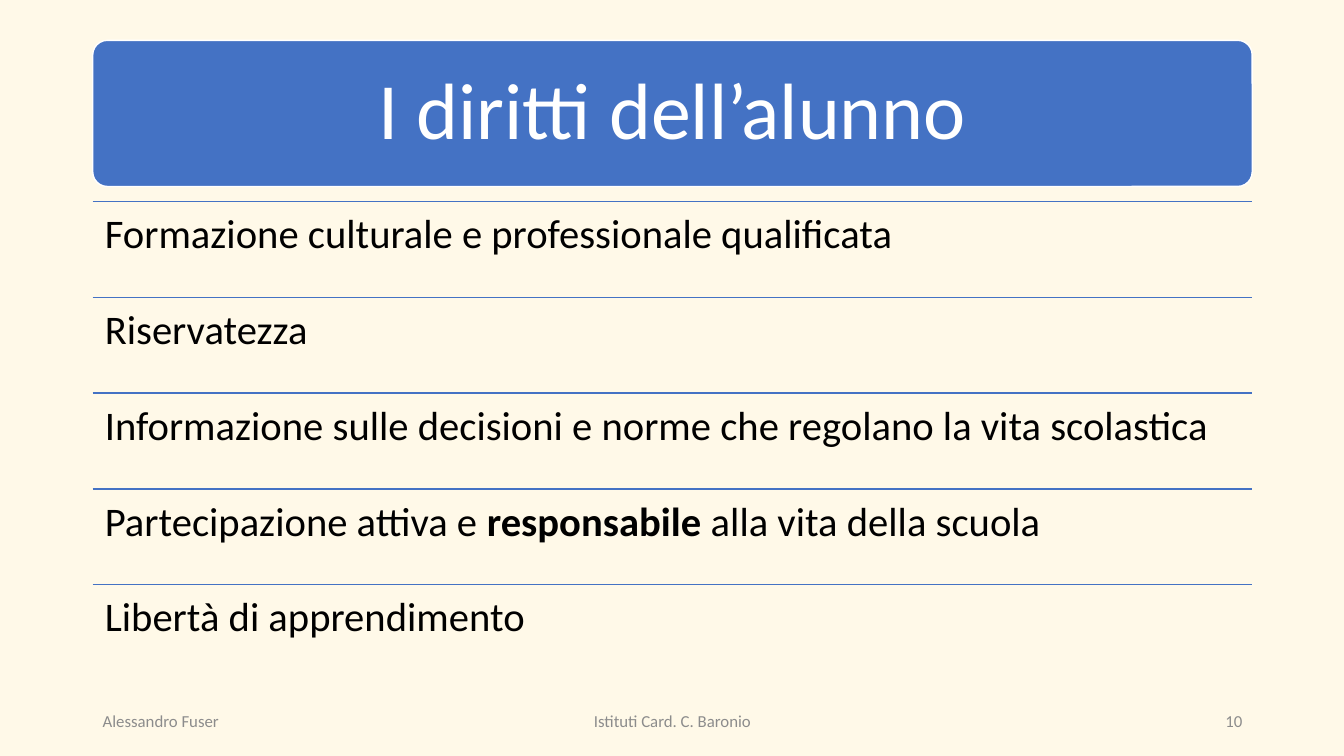
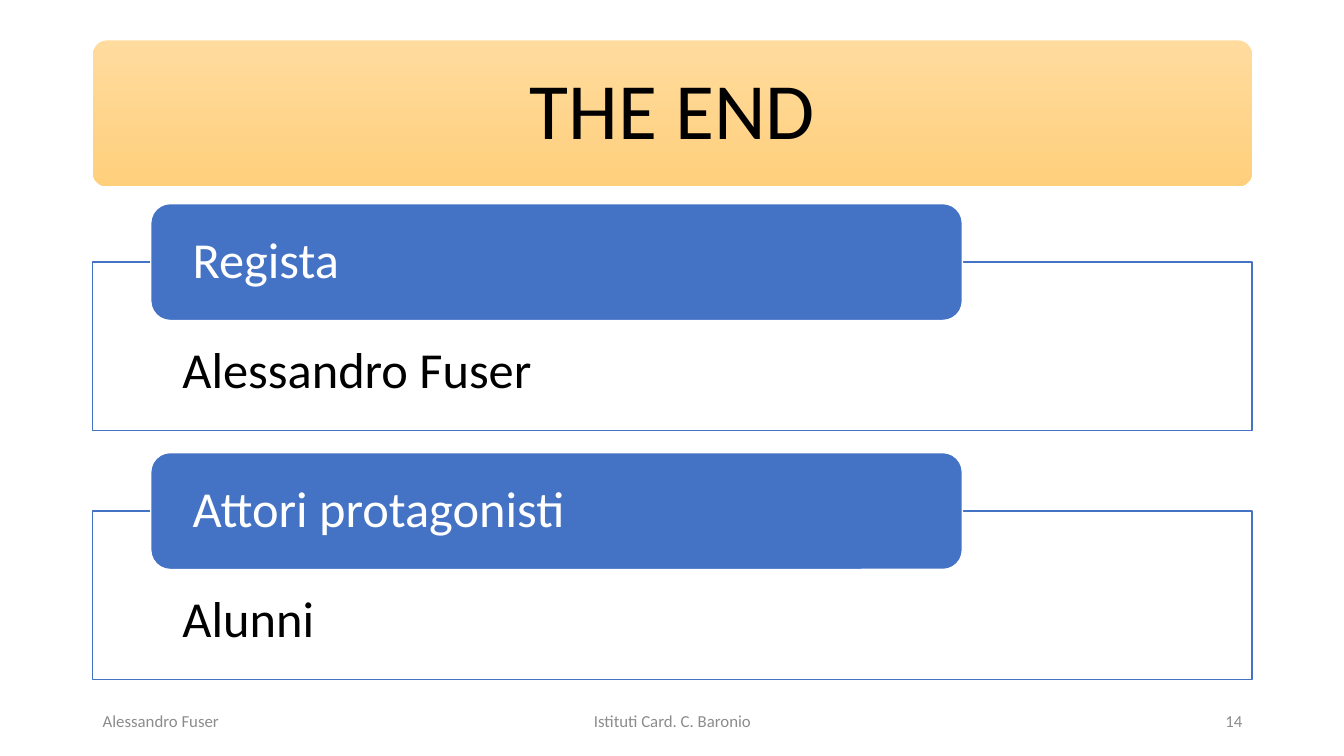
from pptx import Presentation
from pptx import util as u
from pptx.dml.color import RGBColor
from pptx.enum import shapes, text
from lxml import etree

Inches, Pt = u.Inches, u.Pt
ALIGN, ANCHOR = text.PP_ALIGN, text.MSO_ANCHOR
FONT = "Calibri"
COLORS = {
    "blue": "4472C4", "white": "FFFFFF", "black": "000000", "gray": "8C8C8C",
    "cream": "FFF9E8", "sand": "FFDB9E", "amber": "FFD07C",
}
DRAWING_NS = "http://schemas.openxmlformats.org/drawingml/2006/main"

# Shared geometry, in inches
LEFT, WIDTH = 0.92, 11.5
TITLE_BOX = (LEFT, 0.4, WIDTH, 1.45)
FOOTER_TOP, FOOTER_HEIGHT = 6.95, 0.4


def color(name):
    return RGBColor.from_string(COLORS[name])


def inches(*lengths):
    return [Inches(length) for length in lengths]


def write(shape, runs, size, color_name, align=ALIGN.LEFT, anchor=ANCHOR.MIDDLE,
          margins=(0.1, 0.05, 0.1, 0.05), spacing=0.9):
    """Fill a shape with one paragraph; runs are (wording, bold) pairs."""
    frame = shape.text_frame
    frame.word_wrap = True
    frame.auto_size = text.MSO_AUTO_SIZE.NONE
    frame.vertical_anchor = anchor
    (frame.margin_left, frame.margin_top,
     frame.margin_right, frame.margin_bottom) = inches(*margins)
    paragraph = frame.paragraphs[0]
    paragraph.alignment = align
    paragraph.line_spacing = spacing
    for wording, bold in runs:
        run = paragraph.add_run()
        run.text = wording
        run.font.name, run.font.size, run.font.bold = FONT, Pt(size), bold
        run.font.color.rgb = color(color_name)


def add_box(slide, kind, box, fill, line=None):
    shape = slide.shapes.add_shape(kind, *inches(*box))
    shape.shadow.inherit = False
    if isinstance(fill, tuple):
        shape.fill.gradient()
        shape.fill.gradient_angle = 270
        for stop, name in zip(shape.fill.gradient_stops, fill):
            stop.color.rgb = color(name)
    else:
        shape.fill.solid()
        shape.fill.fore_color.rgb = color(fill)
    if line:
        shape.line.color.rgb = color(line)
        shape.line.width = Pt(1)
    else:
        shape.line.fill.background()
    return shape


def add_title(slide, box, wording, fill, font_color, line=None):
    band = add_box(slide, shapes.MSO_SHAPE.ROUNDED_RECTANGLE, box, fill, line)
    band.adjustments[0] = 0.1
    title = slide.shapes.title
    title.left, title.top, title.width, title.height = inches(*box)
    band.element.addnext(title.element)  # keeps the wording above the band
    write(title, [(wording, False)], 57, font_color, ALIGN.CENTER, margins=(0.28,) * 4)


def add_footer(slide, number):
    parts = [
        (LEFT, 3, "Alessandro Fuser", ALIGN.LEFT),
        (LEFT + 3.5, 4.5, "Istituti Card. C. Baronio", ALIGN.CENTER),
        (LEFT + 8.5, 3, str(number), ALIGN.RIGHT),
    ]
    for left, width, wording, align in parts:
        box = slide.shapes.add_textbox(*inches(left, FOOTER_TOP, width, FOOTER_HEIGHT))
        write(box, [(wording, False)], 12, "gray", align, spacing=1)


def add_ruled_list(slide, box, rows):
    """Equal rows, each with a rule along its top."""
    left, top, width, height = box
    row_height = height / len(rows)
    for index, runs in enumerate(rows):
        row_top = top + index * row_height
        rule = slide.shapes.add_connector(
            shapes.MSO_CONNECTOR.STRAIGHT, *inches(left, row_top, left + width, row_top))
        rule.line.color.rgb = color("blue")
        rule.line.width = Pt(1)
        etree.SubElement(rule.element.spPr, f"{{{DRAWING_NS}}}effectLst")
        row = slide.shapes.add_textbox(*inches(left, row_top, width, row_height))
        write(row, runs, 29, "black", anchor=ANCHOR.TOP, margins=(0.12,) * 4)


def add_credit(slide, box, heading, name):
    """Outlined box with a heading tab straddling its top edge."""
    left, top, width, height = box
    tab_height = 1.16
    frame_top = top + tab_height / 2
    frame = add_box(slide, shapes.MSO_SHAPE.RECTANGLE,
                    (left, frame_top, width, height - tab_height / 2), "white", "blue")
    write(frame, [(name, False)], 36, "black", anchor=ANCHOR.TOP,
          margins=(0.89, 0.82, 0.89, 0.28))
    tab = add_box(slide, shapes.MSO_SHAPE.ROUNDED_RECTANGLE,
                  (left + width * 0.05, top, width * 0.7, tab_height), "blue", "white")
    write(tab, [(heading, False)], 36, "white", margins=(0.36, 0, 0.36, 0))


def add_slide(presentation, background, number):
    slide = presentation.slides.add_slide(presentation.slide_layouts.get_by_name("Title Only"))
    slide.background.fill.solid()
    slide.background.fill.fore_color.rgb = color(background)
    add_footer(slide, number)
    return slide


def build_rights(presentation):
    slide = add_slide(presentation, "cream", 10)
    add_title(slide, TITLE_BOX, "I diritti dell’alunno", "blue", "white", "white")
    add_ruled_list(slide, (LEFT, 2, WIDTH, 4.75), [
        [("Formazione culturale e professionale qualificata", False)],
        [("Riservatezza", False)],
        [("Informazione sulle decisioni e norme che regolano la vita scolastica", False)],
        [("Partecipazione attiva e ", False), ("responsabile", True),
         (" alla vita della scuola", False)],
        [("Libertà di apprendimento", False)],
    ])


def build_end(presentation):
    slide = add_slide(presentation, "white", 14)
    add_title(slide, TITLE_BOX, "THE END", ("sand", "amber"), "black")
    credits = [("Regista", "Alessandro Fuser"), ("Attori protagonisti", "Alunni")]
    for index, (heading, name) in enumerate(credits):
        add_credit(slide, (LEFT, 2.02 + index * 2.47, WIDTH, 2.25), heading, name)


def main():
    presentation = Presentation()
    presentation.slide_width, presentation.slide_height = inches(13.33, 7.5)
    build_rights(presentation)
    build_end(presentation)
    presentation.save("out.pptx")


if __name__ == "__main__":
    main()
